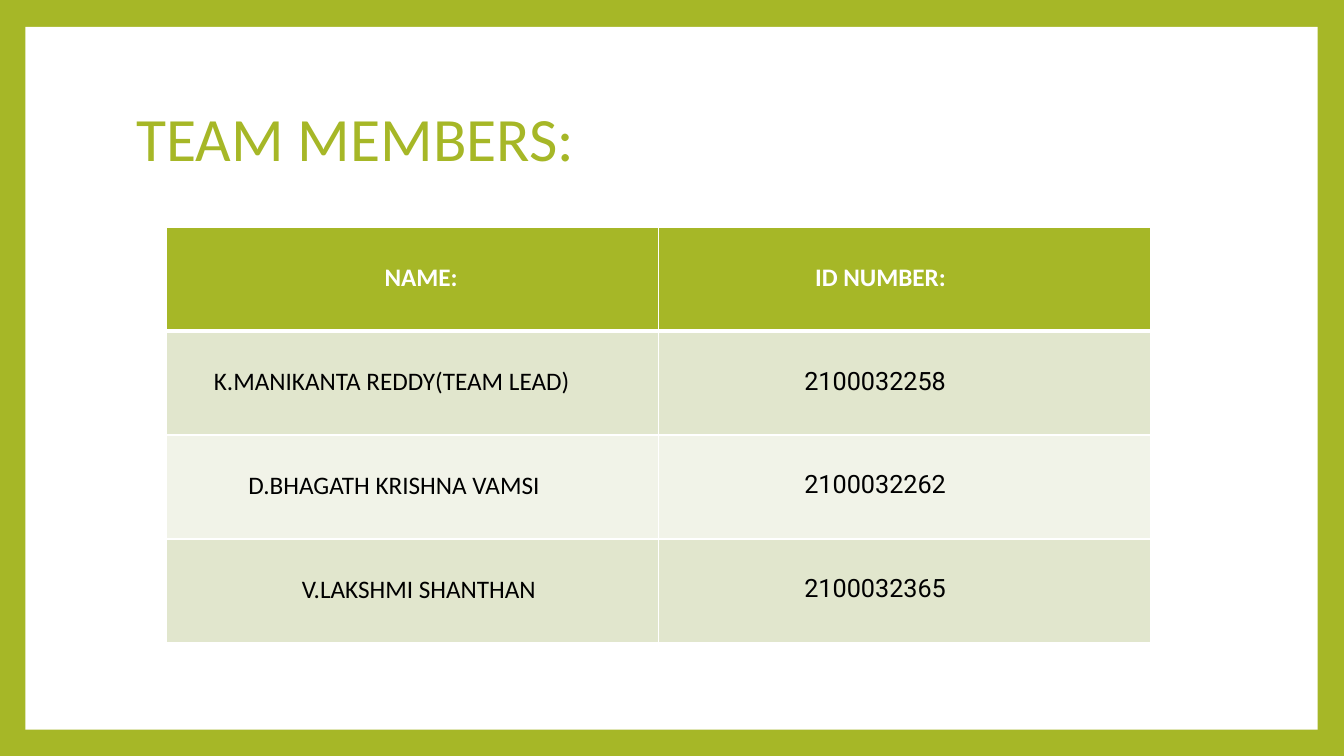
"""Build the team members slide: a framed page with a title and a table of names and IDs."""
from lxml import etree
from pptx import Presentation
from pptx import util as u
from pptx.dml import color
from pptx.enum import shapes, text
from pptx.oxml import ns

GREEN, WHITE, BLACK = "A6B727", "FFFFFF", "000000"
BANDS = ["E1E6CD", "F1F3E8"]


def paint(fill, shade):
    fill.solid()
    fill.fore_color.rgb = color.RGBColor.from_string(shade)


def add_border(cell, side, points):
    line = etree.SubElement(cell._tc.get_or_add_tcPr(), ns.qn(f"a:ln{side}"), w=str(u.Pt(points)))
    solid = etree.SubElement(line, ns.qn("a:solidFill"))
    etree.SubElement(solid, ns.qn("a:srgbClr"), val=WHITE)


deck = Presentation()
deck.slide_width, deck.slide_height = u.Cm(33.87), u.Cm(19.05)
page = deck.slides.add_slide(deck.slide_layouts[6])
paint(page.background.fill, GREEN)

panel = page.shapes.add_shape(
    shapes.MSO_SHAPE.RECTANGLE, u.Cm(0.64), u.Cm(0.68), u.Cm(32.57), u.Cm(17.71))
panel.shadow.inherit = False
paint(panel.fill, WHITE)
panel.line.fill.background()

title = page.shapes.add_textbox(u.Cm(3.18), u.Cm(1.7), u.Cm(27.43), u.Cm(3.76))
frame = title.text_frame
frame.word_wrap = True
frame.vertical_anchor = text.MSO_ANCHOR.MIDDLE
frame.text = "TEAM MEMBERS:"
para = frame.paragraphs[0]
para.line_spacing = 0.9
para.font.size = u.Pt(44)
para.font.name = "Calibri"
para.font.color.rgb = color.RGBColor.from_string(GREEN)

# Each entry is the wording and its left inset in centimetres.
members = [
    [("NAME:", 5.5), ("ID NUMBER:", 3.95)],
    [("K.MANIKANTA REDDY(TEAM LEAD)", 1.2), ("2100032258", 3.68)],
    [("D.BHAGATH KRISHNA VAMSI", 2.07), ("2100032262", 3.68)],
    [("V.LAKSHMI SHANTHAN", 3.42), ("2100032365", 3.68)],
]
table = page.shapes.add_table(
    len(members), 2, u.Cm(4.19), u.Cm(5.72), u.Cm(24.8), u.Cm(10.48)).table

for row, entries in enumerate(members):
    header = row == 0
    for column, (wording, inset) in enumerate(entries):
        cell = table.cell(row, column)
        for side in "LRTB":
            thick = (header and side == "B") or (row == 1 and side == "T")
            add_border(cell, side, 3 if thick else 1)
        paint(cell.fill, GREEN if header else BANDS[(row - 1) % 2])
        cell.margin_left, cell.margin_top = u.Cm(inset), u.Cm(0.9)
        cell.text_frame.text = wording
        span = cell.text_frame.paragraphs[0].runs[0]
        span.font.size = u.Pt(18)
        span.font.bold = header
        span.font.name = "Roboto" if column and not header else "Calibri"
        span.font.color.rgb = color.RGBColor.from_string(WHITE if header else BLACK)

deck.save("out.pptx")
